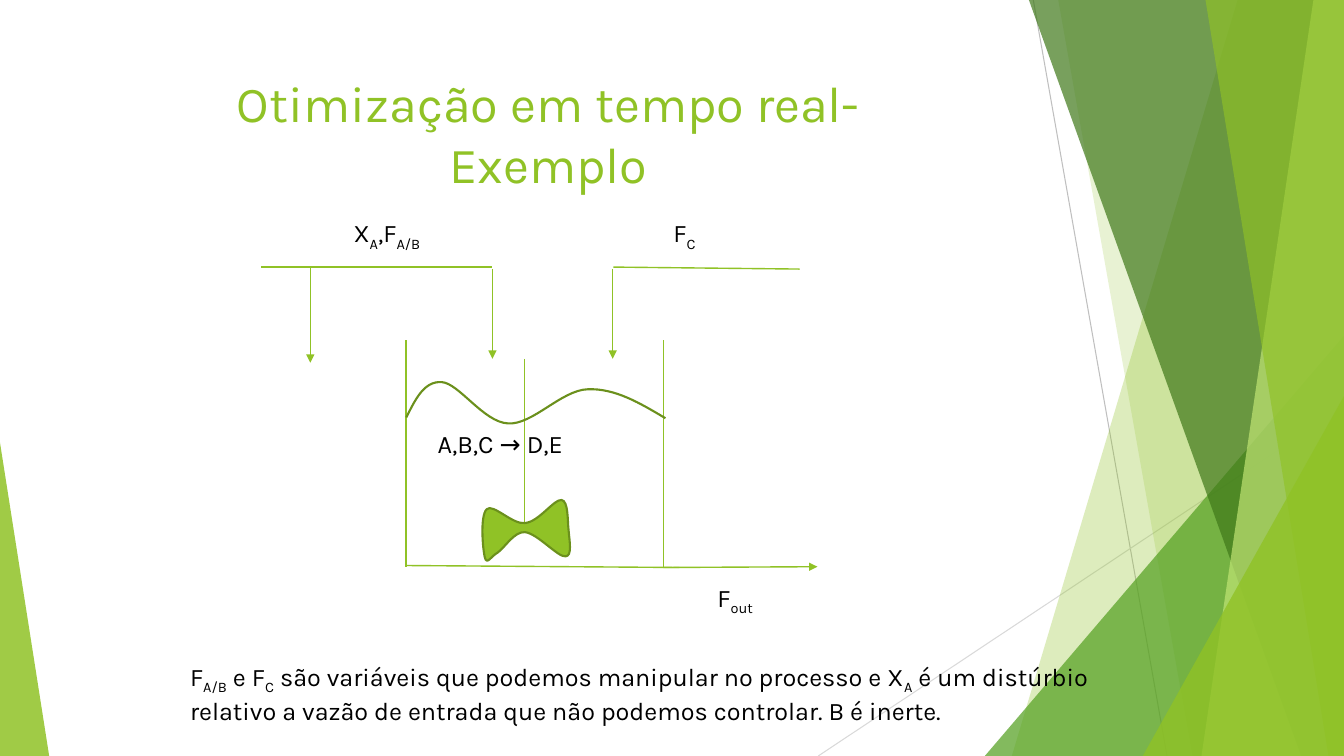
from lxml import etree
from pptx import Presentation
from pptx.dml.color import RGBColor
from pptx.enum.shapes import MSO_CONNECTOR, MSO_SHAPE
from pptx.enum.text import MSO_ANCHOR, MSO_AUTO_SIZE, PP_ALIGN
from pptx.oxml.ns import qn
from pptx.util import Cm, Pt

STRAIGHT = MSO_CONNECTOR.STRAIGHT
TRIANGLE = MSO_SHAPE.ISOSCELES_TRIANGLE
TOP = MSO_ANCHOR.TOP
GROW = MSO_AUTO_SIZE.SHAPE_TO_FIT_TEXT
CENTER = PP_ALIGN.CENTER
WIDTH, HEIGHT = 33.87, 19.05
FONT = "Karla"
GREEN, DARK_GREEN, BLACK = "90C226", "6B901C", "000000"


def rgb(color):
    return RGBColor.from_string(color)


def paint(sp, color, opacity):
    sp.shadow.inherit = False
    sp.fill.solid()
    sp.fill.fore_color.rgb = rgb(color)
    sp.line.fill.background()
    clr = sp.fill._xPr.find(f"{qn('a:solidFill')}/{qn('a:srgbClr')}")
    etree.SubElement(clr, qn("a:alpha")).set("val", str(opacity * 1000))


def add_line(s, box, start, end, color=GREEN, width=1, arrow=False):
    x, y = box[:2]
    line = s.shapes.add_connector(STRAIGHT, Cm(x + start[0]), Cm(y + start[1]),
                                  Cm(x + end[0]), Cm(y + end[1]))
    line.line.color.rgb = rgb(color)
    line.line.width = Pt(width)
    if arrow:
        ln = line.line._get_or_add_ln()
        etree.SubElement(ln, qn("a:tailEnd")).set("type", "triangle")
    etree.SubElement(line._element.spPr, qn("a:effectLst"))


def add_outline(s, box, points, close):
    pts = [(Cm(box[0] + x), Cm(box[1] + y)) for x, y in points]
    builder = s.shapes.build_freeform(*pts[0])
    builder.add_line_segments(pts[1:], close=close)
    sp = builder.convert_to_shape()
    sp.shadow.inherit = False
    return sp


def round_off(sp):
    segments = list(sp._element.iter(qn("a:lnTo")))
    for i in range(0, len(segments), 3):
        cubic = etree.Element(qn("a:cubicBezTo"))
        segments[i].addprevious(cubic)
        for segment in segments[i:i + 3]:
            cubic.append(segment[0])
            segment.getparent().remove(segment)


def add_curve(s, box, points, fill=None):
    sp = add_outline(s, box, points, close=fill is not None)
    round_off(sp)
    if fill:
        sp.fill.solid()
        sp.fill.fore_color.rgb = rgb(fill)
    else:
        sp.fill.background()
    sp.line.color.rgb = rgb(DARK_GREEN)
    sp.line.width = Pt(1.5)


def set_font(p, size, color):
    p.font.name = FONT
    p.font.size = Pt(size)
    p.font.color.rgb = rgb(color)


def add_text(s, box, *lines):
    sp = s.shapes.add_textbox(*map(Cm, box))
    tf = sp.text_frame
    tf.word_wrap = False
    tf.auto_size = GROW
    for i, line in enumerate(lines):
        p = tf.paragraphs[0] if i == 0 else tf.add_paragraph()
        set_font(p, 18, BLACK)
        for j, piece in enumerate(line.split("~")):
            if piece:
                r = p.add_run()
                r.text = piece
                if j % 2:
                    r._r.get_or_add_rPr().set("baseline", "-25000")


def add_facet(s, box, top_x, bottom_x, color, opacity):
    _, _, w, h = box
    outline = [(top_x, 0), (w, 0), (w, h), (bottom_x, h), (top_x, 0)]
    paint(add_outline(s, box, outline, close=True), color, opacity)


def add_corner(s, box, x, w, h, lean, color, opacity):
    sp = s.shapes.add_shape(TRIANGLE, Cm(box[0] + x), Cm(box[1] + box[3] - h), Cm(w), Cm(h))
    sp.adjustments[0] = lean
    paint(sp, color, opacity)


def add_backdrop(s, box):
    add_line(s, box, (26.04, 0), (29.41, 19.05), "BFBFBF", 0.75)
    add_line(s, box, (33.87, 10.24), (20.62, 19.05), "D9D9D9", 0.75)
    add_facet(s, box, 31.19, 25.5, GREEN, 30)
    add_facet(s, box, 26.67, 30.05, GREEN, 20)
    add_corner(s, box, 24.82, 9.05, 10.59, 1, "54A021", 72)
    add_facet(s, box, 25.93, 32.79, "3F7819", 70)
    add_facet(s, box, 33.1, 30.28, "C0E474", 70)
    add_facet(s, box, 30.38, 33.48, GREEN, 65)
    add_corner(s, box, 28.8, 5.07, 9.07, 1, GREEN, 80)
    add_corner(s, box, 0, 1.24, 7.9, 0, GREEN, 85)


def add_title(s, box, *lines):
    sp = s.shapes.title
    s.shapes._spTree.append(sp._element)
    sp.left, sp.top, sp.width, sp.height = map(Cm, box)
    tf = sp.text_frame
    tf.vertical_anchor = TOP
    p = tf.paragraphs[0]
    p.alignment = CENTER
    set_font(p, 36, GREEN)
    for i, line in enumerate(lines):
        if i:
            p.add_line_break()
        p.add_run().text = line


def add_reactor(s, box):
    x, y = box[:2]
    for start, end in [
        ((3.65, 3.22), (3.65, 8.92)),
        ((3.65, 8.89), (10.54, 8.94)),
        ((10.14, 8.92), (10.14, 3.22)),
        ((0, 1.37), (5.83, 1.37)),
        ((13.57, 1.42), (8.88, 1.37)),
        ((6.64, 3.68), (6.64, 7.82)),
    ]:
        add_line(s, box, start, end)
    for start, end in [
        ((5.83, 1.42), (5.83, 3.68)),
        ((1.24, 1.37), (1.24, 3.78)),
        ((8.86, 1.42), (8.86, 3.68)),
        ((10.14, 8.94), (14.02, 8.92)),
    ]:
        add_line(s, box, start, end, arrow=True)

    surface = [
        (3.66, 5.16), (3.89, 4.7), (4.11, 4.24), (4.55, 4.27),
        (4.98, 4.29), (5.61, 5.28), (6.22, 5.31),
        (6.83, 5.36), (7.57, 4.47), (8.23, 4.45),
        (8.92, 4.42), (9.55, 4.8), (10.19, 5.18),
    ]
    impeller = [
        (6.65, 7.82), (6.99, 7.8), (7.39, 7.21), (7.57, 7.24),
        (7.75, 7.26), (7.72, 7.77), (7.75, 8),
        (7.77, 8.26), (7.85, 8.66), (7.67, 8.66),
        (7.49, 8.69), (6.96, 8.08), (6.65, 8.05),
        (6.38, 8.03), (6.15, 8.43), (5.97, 8.56),
        (5.79, 8.66), (5.69, 8.89), (5.64, 8.69),
        (5.59, 8.51), (5.51, 7.62), (5.69, 7.47),
        (5.84, 7.32), (6.35, 7.87), (6.65, 7.82),
    ]
    add_curve(s, box, surface)
    add_curve(s, box, impeller, GREEN)

    for dx, dy, w, label in [
        (2.08, 0, 2.34, "X~A~,F~A/B~"),
        (10.14, 0, 1.12, "F~C~"),
        (11.25, 9.19, 1.47, "F~out~"),
        (4.2, 5.31, 4.09, "A,B,C → D,E"),
    ]:
        add_text(s, (x + dx, y + dy, w, 1.02), label)


def main():
    prs = Presentation()
    prs.slide_width, prs.slide_height = Cm(WIDTH), Cm(HEIGHT)
    s = prs.slides.add_slide(prs.slide_layouts[5])
    add_backdrop(s, (0, 0, WIDTH, HEIGHT))
    add_title(s, (1.88, 1.7, 23.88, 3.66), "Otimização em tempo real-", "Exemplo")
    add_reactor(s, (6.58, 5.36, 14.02, 10.21))
    add_text(s, (4.54, 16.54, 23.16, 1.8),
             "F~A/B~ e F~C~ são variáveis que podemos manipular no processo e X~A~ é um distúrbio",
             "relativo a vazão de entrada que não podemos controlar. B é inerte.")
    prs.save("out.pptx")


if __name__ == "__main__":
    main()
